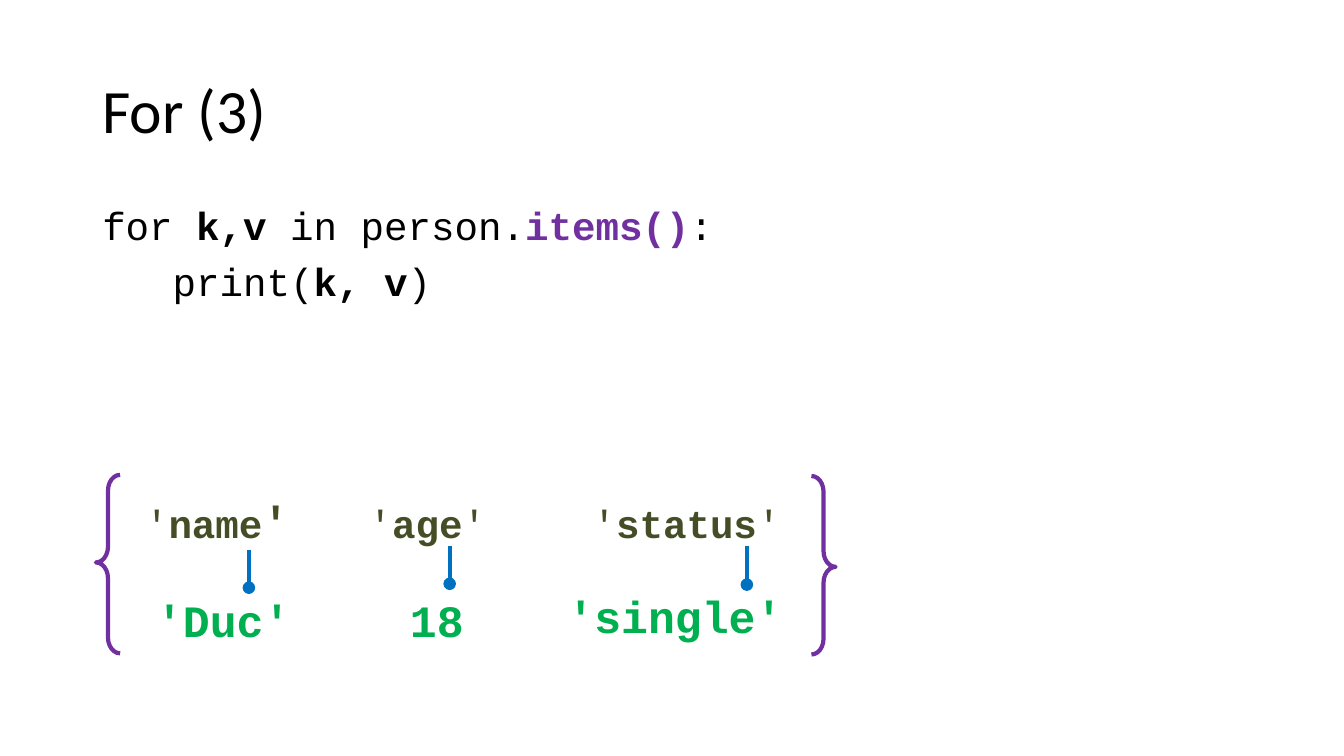
from lxml.etree import SubElement as Sub
from pptx import Presentation
from pptx.dml.color import RGBColor as Rgb
from pptx.enum.shapes import MSO_CONNECTOR as Conn, MSO_SHAPE as Shape
from pptx.enum.text import MSO_ANCHOR as Anchor, MSO_AUTO_SIZE as Auto
from pptx.oxml.ns import qn
from pptx.util import Pt

HUES = {"ink": "000000", "brace": "7030A0", "key": "444D26",
        "value": "00B050", "link": "0070C0"}
CODE = "Courier New"
PLAIN = {"name": CODE, "size": Pt(28), "bold": False}
BOLD = {**PLAIN, "bold": True}
LARGE = {**BOLD, "size": Pt(32)}
TITLE = {**PLAIN, "name": "Calibri", "size": Pt(44)}
BODY = {"line_spacing": 0.9}


def hue(name):
    """Return the named colour."""
    return Rgb.from_string(HUES[name])


def apply(item, form):
    """Set each format value on the item."""
    for name, value in form.items():
        setattr(item, name, value)


def add_text(slide, box, lines, frame, para=None, gap=0):
    """Add a text box from lines of (text, format, colour) runs."""
    text = slide.shapes.add_textbox(*map(Pt, box)).text_frame
    apply(text, frame)
    for num, line in enumerate(lines):
        par = text.add_paragraph() if num else text.paragraphs[0]
        apply(par, para or {})
        if num:
            par.space_before = Pt(gap)
        for words, form, tone in line:
            run = par.add_run()
            run.text = words
            apply(run.font, form)
            run.font.color.rgb = hue(tone)


def add_label(slide, box, runs):
    """Add a one-line label that fits its text."""
    add_text(slide, box, [runs],
             {"word_wrap": False, "auto_size": Auto.SHAPE_TO_FIT_TEXT})


def add_link(slide, x, top, end):
    """Add a vertical line that ends in a dot."""
    link = slide.shapes.add_connector(Conn.STRAIGHT, *map(Pt, (x, top, x, end)))
    link.line.width = Pt(3)
    link.line.color.rgb = hue("link")
    Sub(link.line._get_or_add_ln(), qn("a:tailEnd"), type="oval")
    Sub(link._element.spPr, qn("a:effectLst"))


def add_brace(slide, x, y, turn):
    """Add a curly brace, turned by the given angle."""
    brace = slide.shapes.add_shape(Shape.LEFT_BRACE, *map(Pt, (x, y, 17.3, 127.5)))
    brace.adjustments[0], brace.adjustments[1] = 0.651, 0.491
    brace.rotation = turn
    brace.shadow.inherit = False
    brace.fill.background()
    brace.line.width = Pt(3)
    brace.line.color.rgb = hue("brace")


def add_pair(slide, key, value, key_box, value_box, link, last=PLAIN):
    """Add a key, its value and the line between them."""
    add_label(slide, key_box, [("'", PLAIN, "key"), (key, BOLD, "key"),
                               ("'", last, "key")])
    add_label(slide, value_box, [(value, LARGE, "value")])
    add_link(slide, *link)


def main():
    """Build the slide and save it."""
    deck = Presentation()
    deck.slide_width, deck.slide_height = Pt(960), Pt(540)
    slide = deck.slides.add_slide(deck.slide_layouts[6])
    add_text(slide, (66, 28.8, 828, 104.4), [[("For (3)", TITLE, "ink")]],
             {"word_wrap": True, "vertical_anchor": Anchor.MIDDLE}, BODY)
    code = [
        [("for ", PLAIN, "ink"), ("k,v", BOLD, "ink"),
         (" in person.", PLAIN, "ink"), ("items()", BOLD, "brace"),
         (":", PLAIN, "ink")],
        [("   print(", PLAIN, "ink"), ("k, v", BOLD, "ink"),
         (")", PLAIN, "ink")],
    ]
    add_text(slide, (66, 144, 828, 102), code, {"word_wrap": True}, BODY, 10)
    add_brace(slide, 68.5, 339.2, 0)
    add_brace(slide, 579.6, 340, 180)
    add_pair(slide, "name", "'Duc'", (96.5, 349.2, 118.8, 46),
             (104.4, 419.8, 111.6, 46), (177.8, 393, 419.8), LARGE)
    add_pair(slide, "age", "18", (256.3, 352.8, 99.4, 41),
             (285.8, 419.8, 53.3, 46), (321.2, 390.2, 417))
    add_pair(slide, "status", "'single'", (416.2, 352.8, 149.8, 41),
             (398.2, 416.9, 169.9, 46), (533.5, 390.2, 417.6))
    deck.save("out.pptx")


if __name__ == "__main__":
    main()
